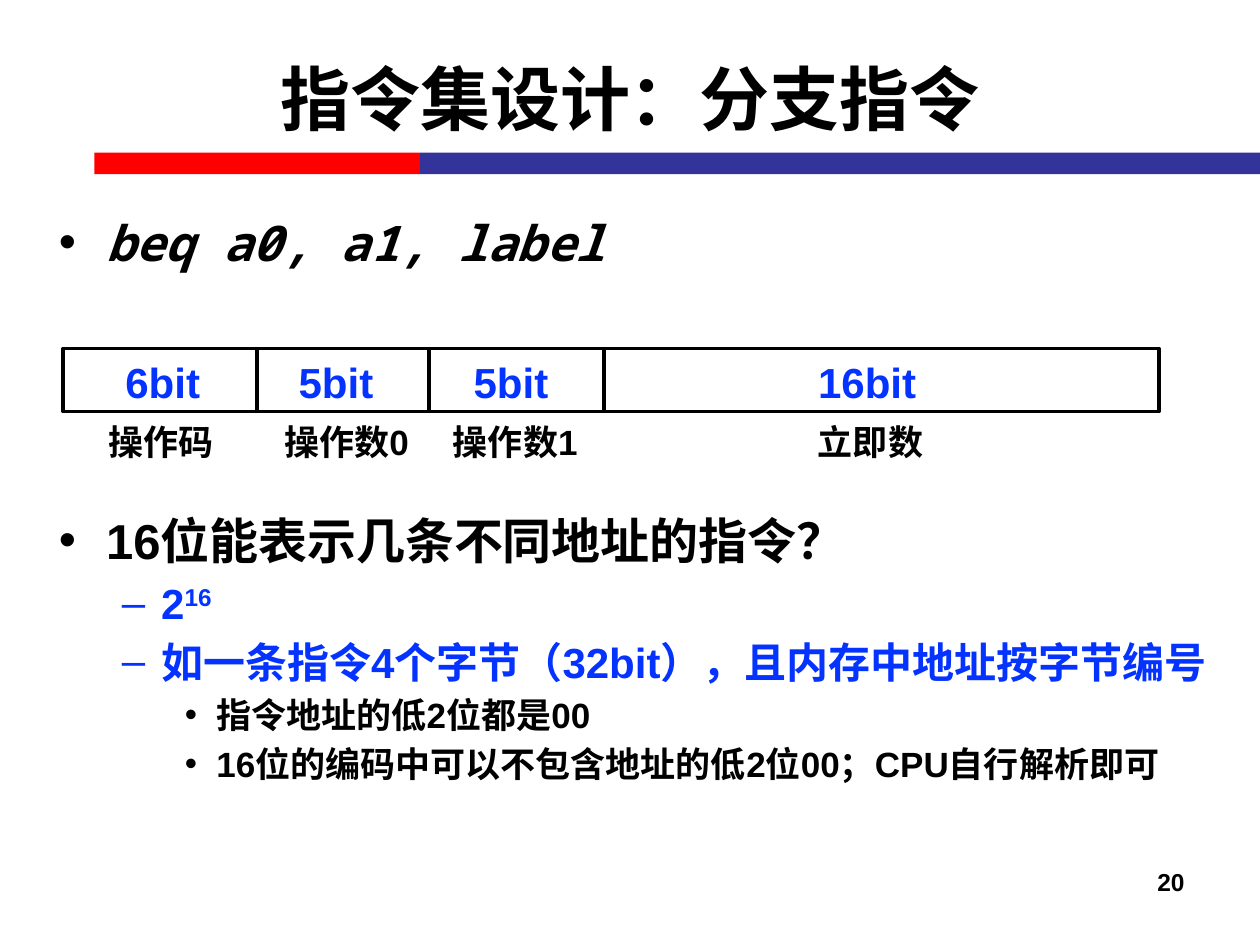
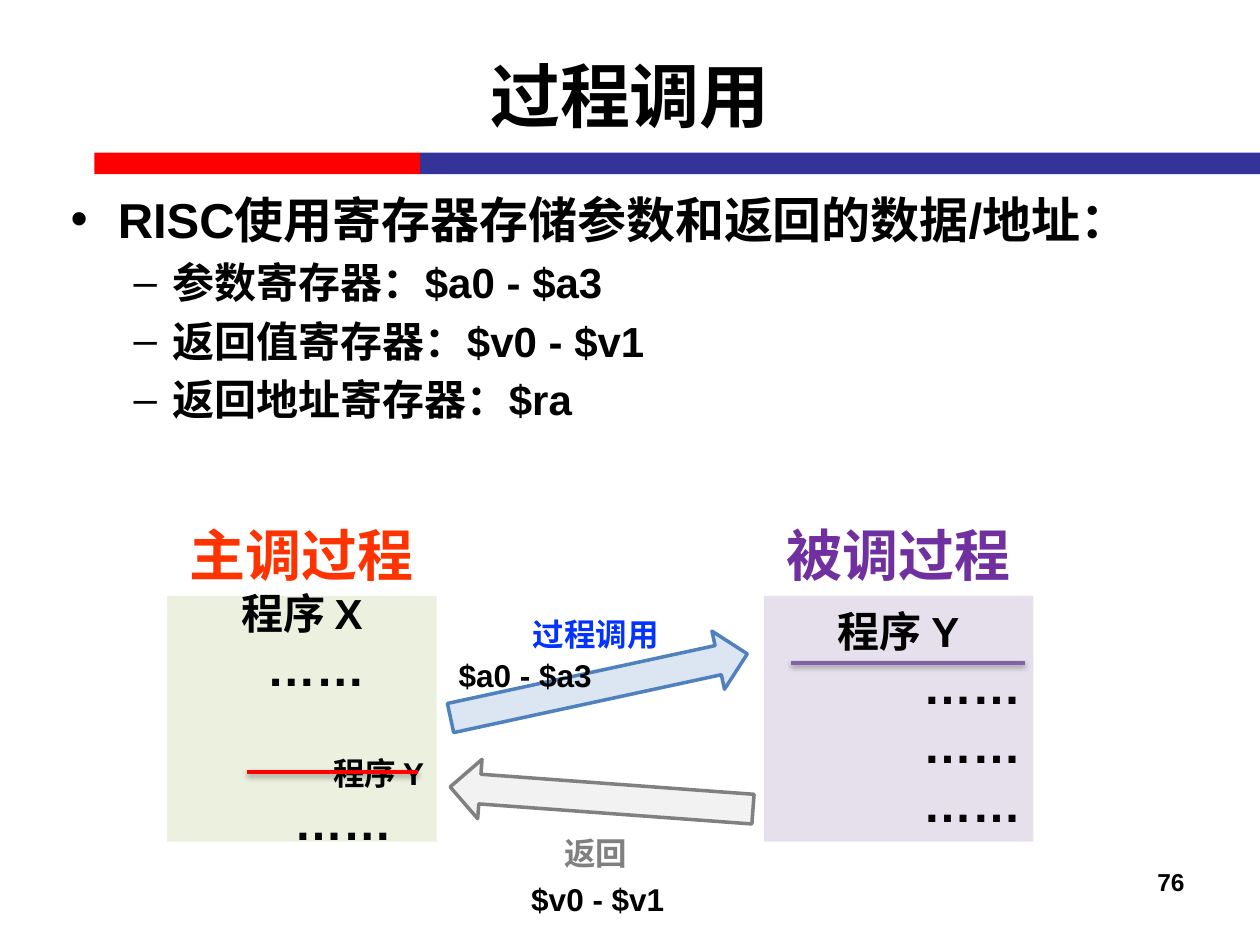
"""Build two lecture slides on branch instructions and procedure calls."""
import pptx
import pptx.dml.color
import pptx.enum.shapes
import pptx.enum.text
import pptx.oxml
import pptx.oxml.ns
import pptx.util

Pt = pptx.util.Pt
ALIGN = pptx.enum.text.PP_ALIGN
MIDDLE = pptx.enum.text.MSO_ANCHOR.MIDDLE
SHAPE = pptx.enum.shapes.MSO_SHAPE

COLORS = {
    "ink": "000000", "red": "FF0000", "navy": "333399", "blue": "0432FF",
    "caller": "FF3300", "caller_fill": "EBF1DE",
    "callee": "7030A0", "callee_fill": "E6E0EC", "callee_rule": "8064A2",
    "call_fill": "DCE6F2", "call_edge": "4F81BD",
    "return_fill": "F2F2F2", "return_edge": "808080",
}
FONT = {"name": "Arial", "bold": True}
LEVELS = [
    {"sign": "•", "margin": 27, "hang": 27, "size": 28},
    {"sign": "–", "margin": 58.5, "hang": 22.5, "size": 24},
    {"sign": "•", "margin": 90, "hang": 18, "size": 20},
]
FIELDS = [
    {"bits": "6bit", "bits_x": 93, "operand": "操作码", "operand_x": 92, "end": 147},
    {"bits": "5bit", "bits_x": 192, "operand": "操作数0", "operand_x": 198, "end": 245},
    {"bits": "5bit", "bits_x": 292, "operand": "操作数1", "operand_x": 294.5, "end": 345},
    {"bits": "16bit", "bits_x": 495.5, "operand": "立即数", "operand_x": 497.5, "end": None},
]


def rgb(color):
    """Return the named colour."""
    return pptx.dml.color.RGBColor.from_string(COLORS[color])


def apply(target, formats):
    """Set every format value on the target."""
    for attribute, value in formats.items():
        setattr(target, attribute, value)


def add_run(paragraph, text, size, color="ink", raised=False, **formats):
    """Append one formatted run."""
    run = paragraph.add_run()
    run.text = text
    apply(run.font, {**FONT, "size": Pt(size), **formats})
    run.font.color.rgb = rgb(color)
    if raised:
        run.font._element.set("baseline", "30000")


def add_text(slide, box, text, size, color="ink", align=ALIGN.CENTER, anchor=None):
    """Add a one-paragraph text box."""
    frame = slide.shapes.add_textbox(*map(Pt, box)).text_frame
    apply(frame, {"word_wrap": True, "vertical_anchor": anchor})
    frame.paragraphs[0].alignment = align
    add_run(frame.paragraphs[0], text, size, color)


def add_shape(slide, kind, box, fill=None, edge=None, rotation=0):
    """Add a flat preset shape."""
    shape = slide.shapes.add_shape(kind, *map(Pt, box))
    shape.shadow.inherit = False
    shape.rotation = rotation
    if fill:
        shape.fill.solid()
        shape.fill.fore_color.rgb = rgb(fill)
    else:
        shape.fill.background()
    if edge:
        shape.line.color.rgb = rgb(edge)
        shape.line.width = Pt(2)
    else:
        shape.line.fill.background()
    return shape


def add_rule(slide, start, end, color="ink", width=2.25, shadow=False):
    """Add a straight line, with a soft shadow below if wanted."""
    rule = slide.shapes.add_connector(
        pptx.enum.shapes.MSO_CONNECTOR.STRAIGHT, *map(Pt, start + end))
    rule.line.color.rgb = rgb(color)
    rule.line.width = Pt(width)
    soft = ('<a:outerShdw blurRad="40000" dist="20000" dir="5400000" rotWithShape="0">'
            '<a:srgbClr val="000000"><a:alpha val="38000"/></a:srgbClr></a:outerShdw>')
    rule._element.spPr.append(pptx.oxml.parse_xml(
        f'<a:effectLst {pptx.oxml.ns.nsdecls("a")}>{soft if shadow else ""}</a:effectLst>'))


def add_bullets(slide, box, items):
    """Add a bulleted list of (level, runs) items."""
    frame = slide.shapes.add_textbox(*map(Pt, box)).text_frame
    frame.word_wrap = True
    for index, (level, runs) in enumerate(items):
        style = LEVELS[level]
        paragraph = frame.add_paragraph() if index else frame.paragraphs[0]
        paragraph.level = level
        if index:
            paragraph.space_before = Pt(style["size"] / 5)
        properties = paragraph._p.get_or_add_pPr()
        properties.set("marL", str(Pt(style["margin"])))
        properties.set("indent", str(-Pt(style["hang"])))
        for tag in ('buFont typeface="Arial"', f'buChar char="{style["sign"]}"'):
            properties.append(pptx.oxml.parse_xml(
                f'<a:{tag} {pptx.oxml.ns.nsdecls("a")}/>'))
        for text, formats in runs:
            add_run(paragraph, text, style["size"], **formats)
    return frame


def add_procedure(slide, left, fill, lines):
    """Add a procedure block of (text, size, alignment, margin, gap) lines."""
    block = add_shape(slide, SHAPE.RECTANGLE, (left, 340.5, 154, 140.5), fill)
    frame = block.text_frame
    frame.vertical_anchor = MIDDLE
    for index, (text, size, align, margin, gap) in enumerate(lines):
        paragraph = frame.add_paragraph() if index else frame.paragraphs[0]
        paragraph.alignment = align
        if margin:
            paragraph._p.get_or_add_pPr().set("marL", str(Pt(margin)))
        if gap:
            paragraph.space_before = Pt(gap)
        add_run(paragraph, text, size)


def add_page(deck, title, title_top, number):
    """Add a slide with its title, two-colour band and page number."""
    slide = deck.slides.add_slide(deck.slide_layouts[6])
    add_shape(slide, SHAPE.RECTANGLE, (54, 87.25, 186, 12.25), "red")
    add_shape(slide, SHAPE.RECTANGLE, (240, 87.25, 480, 12.25), "navy")
    add_text(slide, (36, title_top, 648, 90), title, 40, anchor=MIDDLE)
    add_text(slide, (516, 492, 168, 37), number, 14, align=ALIGN.RIGHT)
    return slide


def add_instruction_format(slide):
    """Draw the bit fields of the branch instruction."""
    add_shape(slide, SHAPE.RECTANGLE, (36, 199.25, 626.25, 36), edge="ink")
    for field in FIELDS:
        add_text(slide, (field["bits_x"] - 42, 200, 84, 36), field["bits"], 24, "blue")
        add_text(slide, (field["operand_x"] - 44, 236.5, 88, 32), field["operand"], 20)
        if field["end"]:
            add_rule(slide, (field["end"], 199), (field["end"], 235.5))


def build_branch(deck):
    """Build the branch instruction slide."""
    slide = add_page(deck, "指令集设计：分支指令", 10.75, "20")
    code = {"name": "Noto Sans Mono", "italic": True}
    blue = {"color": "blue"}
    example = add_bullets(slide, (26.5, 101, 686, 60), [(0, [("beq a0, a1, label", code)])])
    example.paragraphs[0].line_spacing = 1.5
    add_instruction_format(slide)
    add_bullets(slide, (26.5, 288, 686, 217), [
        (0, [("16位能表示几条不同地址的指令？", {})]),
        (1, [("2", blue), ("16", {**blue, "raised": True})]),
        (1, [("如一条指令4个字节（32bit），且内存中地址按字节编号", blue)]),
        (2, [("指令地址的低2位都是00", {})]),
        (2, [("16位的编码中可以不包含地址的低2位00；CPU自行解析即可", {})]),
    ])


def build_call(deck):
    """Build the procedure call slide."""
    slide = add_page(deck, "过程调用", 8.75, "76")
    add_bullets(slide, (33.25, 104.5, 681, 328), [
        (0, [("RISC使用寄存器存储参数和返回的数据/地址：", {})]),
        (1, [("参数寄存器：$a0 - $a3", {})]),
        (1, [("返回值寄存器：$v0 - $v1", {})]),
        (1, [("返回地址寄存器：$ra", {})]),
    ])
    add_procedure(slide, 95.5, "caller_fill", [
        ("程序 X", 24, ALIGN.CENTER, 0, 0),
        ("……", 28, ALIGN.CENTER, 16, 0),
        ("程序 Y", 18, ALIGN.RIGHT, 0, 33),
        ("……", 28, ALIGN.CENTER, 47, 0),
    ])
    add_procedure(slide, 436.5, "callee_fill", [
        ("程序 Y", 24, ALIGN.CENTER, 0, 0),
        *[("……", 28, ALIGN.RIGHT, 0, 0)] * 3,
    ])
    add_shape(slide, SHAPE.RIGHT_ARROW, (255.5, 375, 173.5, 34),
              "call_fill", "call_edge", 347.8)
    add_shape(slide, SHAPE.RIGHT_ARROW, (257, 439, 173.5, 34),
              "return_fill", "return_edge", 184.2)
    add_rule(slide, (141, 441.25), (239, 441.25), "red", 2, True)
    add_rule(slide, (452, 378.75), (586, 378.75), "callee_rule", 2, True)
    add_text(slide, (99, 293.75, 147, 46), "主调过程", 32, "caller")
    add_text(slide, (440, 293.75, 147, 46), "被调过程", 32, "callee")
    add_text(slide, (263.5, 347.75, 154, 29), "过程调用", 18, "blue")
    add_text(slide, (263.5, 473, 154, 29), "返回", 18, "return_edge")
    add_text(slide, (255, 371.5, 100, 29), "$a0 - $a3", 18, align=ALIGN.LEFT)
    add_text(slide, (296.5, 499.5, 100, 29), "$v0 - $v1", 18, align=ALIGN.LEFT)


def main():
    """Build and save the deck."""
    deck = pptx.Presentation()
    apply(deck, {"slide_width": Pt(720), "slide_height": Pt(540)})
    build_branch(deck)
    build_call(deck)
    deck.save("out.pptx")


if __name__ == "__main__":
    main()
